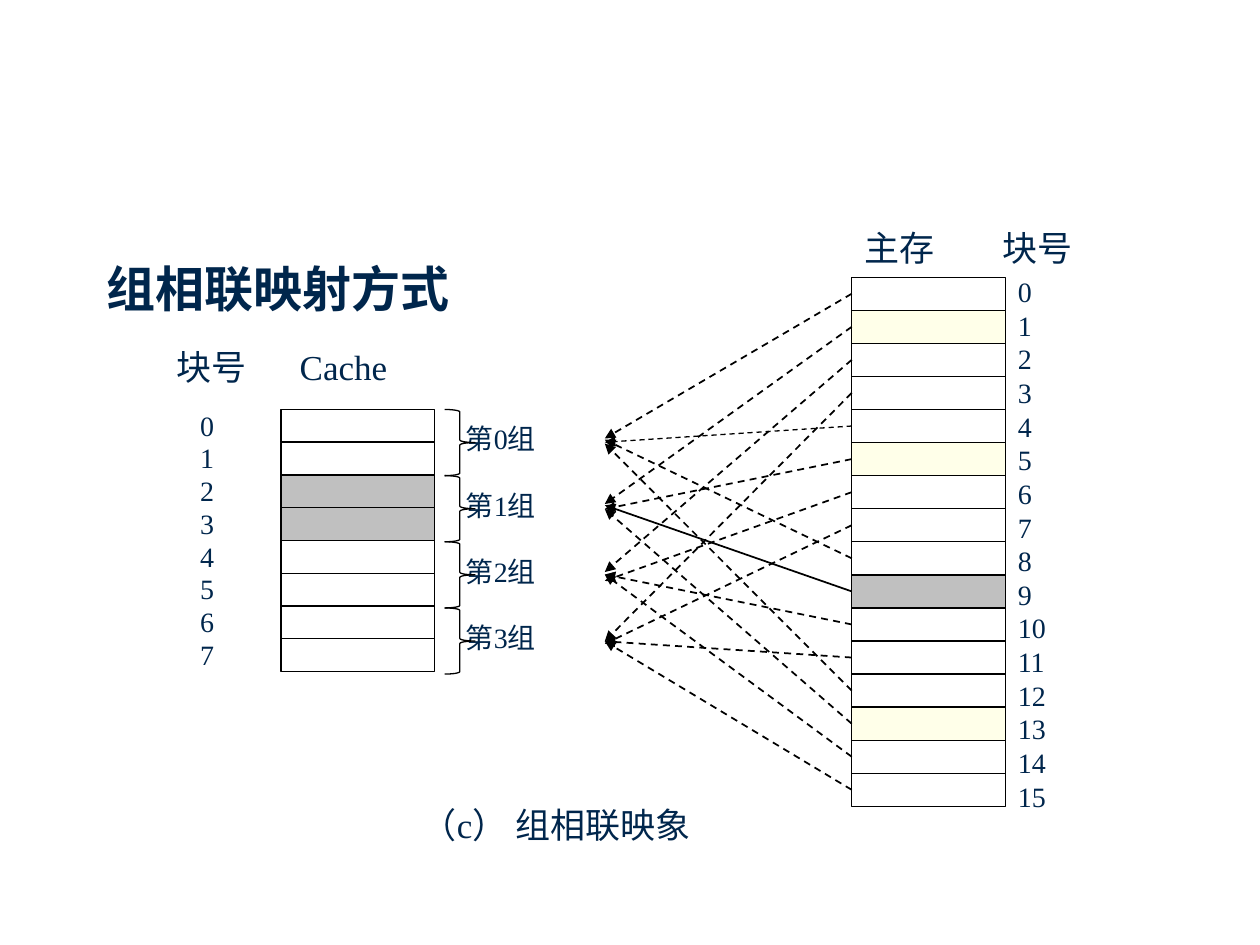
from lxml import etree
from pptx import Presentation
from pptx.dml.color import RGBColor
from pptx.enum import dml, shapes, text
from pptx.oxml.ns import qn
from pptx.util import Inches, Pt

FONT = "Times New Roman"
NAVY = RGBColor(0x00, 0x26, 0x4C)
BLACK = RGBColor(0x00, 0x00, 0x00)
GRAY = RGBColor(0xC0, 0xC0, 0xC0)
CREAM = RGBColor(0xFF, 0xFF, 0xE9)

CACHE_FILLS = {2: GRAY, 3: GRAY}
MEMORY_FILLS = {1: CREAM, 5: CREAM, 9: GRAY, 13: CREAM}
SOLID_BLOCK = 9
ARROW_TIPS = [3.48, 4, 4.54, 5.09, 3.51, 4.04, 4.61, 5.11,
              3.49, 4.01, 4.56, 5.09, 3.52, 4.04, 4.56, 5.09]


def add_label(slide, words, left, top, width, height, size=16, bold=False):
    """Add one line of navy text in a wrapping box."""
    box = slide.shapes.add_textbox(Inches(left), Inches(top), Inches(width), Inches(height))
    box.text_frame.word_wrap = True
    paragraph = box.text_frame.paragraphs[0]
    paragraph.text = words
    paragraph.alignment = text.PP_ALIGN.LEFT if bold else text.PP_ALIGN.JUSTIFY
    paragraph.font.name = FONT
    paragraph.font.size = Pt(size)
    paragraph.font.bold = bold
    paragraph.font.color.rgb = NAVY


def add_outline(slide, kind, left, top, width, height, fill=None):
    """Add a thin black preset shape, filled only if a colour is given."""
    shape = slide.shapes.add_shape(kind, Inches(left), Inches(top), Inches(width), Inches(height))
    shape.shadow.inherit = False
    if fill is None:
        shape.fill.background()
    else:
        shape.fill.solid()
        shape.fill.fore_color.rgb = fill
    shape.line.color.rgb = BLACK
    shape.line.width = Pt(0.75)
    return shape


def add_blocks(slide, left, top, width, height, count, fills, label_left, label_rise, label_step):
    """Stack numbered blocks in the given box and return them."""
    step = height / count
    blocks = []
    for number in range(count):
        blocks.append(add_outline(slide, shapes.MSO_SHAPE.RECTANGLE, left, top + number * step,
                                  width, step, fills.get(number)))
        add_label(slide, str(number), left + label_left,
                  top - label_rise + number * label_step, 0.73, 0.39)
    return blocks


def add_cache(slide, left, top, width, height):
    """Draw the cache blocks with their headings."""
    add_label(slide, "块号", left - 0.93, top - 0.56, 1.22, 0.39, 20)
    add_label(slide, "Cache", left + 0.05, top - 0.56, 1.22, 0.39, 20)
    add_blocks(slide, left, top, width, height, 8, CACHE_FILLS, -0.74, 0.06, 0.26)


def add_sets(slide, left, top, height):
    """Draw a brace and a name for each of the four sets."""
    step = height / 4
    for number in range(4):
        set_top = top + number * step
        add_label(slide, f"第{number}组", left + 0.07, set_top + 0.05, 1.47, 0.39)
        add_outline(slide, shapes.MSO_SHAPE.RIGHT_BRACE, left, set_top, 0.24, step)


def add_memory(slide, left, top, width, height):
    """Draw the main memory blocks with their headings and return the blocks."""
    add_label(slide, "主存", left, top - 0.45, 1.22, 0.39, 20)
    add_label(slide, "块号", left + 1.1, top - 0.45, 0.89, 0.42, 20)
    return add_blocks(slide, left, top, width, height, 16, MEMORY_FILLS, width, 0.07, 0.267)


def add_mapping(slide, blocks, tip_left):
    """Draw an arrow from each memory block to its cache set."""
    for number, (block, tip_top) in enumerate(zip(blocks, ARROW_TIPS)):
        arrow = slide.shapes.add_connector(
            shapes.MSO_CONNECTOR.STRAIGHT, block.left, block.top + block.height // 2,
            Inches(tip_left), Inches(tip_top))
        arrow.begin_connect(block, 1)
        arrow.line.color.rgb = BLACK
        arrow.line.width = Pt(0.75 if number == 4 else 1)
        if number != SOLID_BLOCK:
            arrow.line.dash_style = dml.MSO_LINE.DASH
        etree.SubElement(arrow.line._get_or_add_ln(), qn("a:tailEnd"), type="triangle")
        etree.SubElement(arrow._element.spPr, qn("a:effectLst"))


def main():
    """Build the set-associative mapping slide."""
    presentation = Presentation()
    presentation.slide_width = Inches(10)
    presentation.slide_height = Inches(7.5)
    slide = presentation.slides.add_slide(presentation.slide_layouts[6])
    add_label(slide, "组相联映射方式", 0.75, 2, 8.08, 4.67, 28, True)
    add_label(slide, "（c） 组相联映象", 3.25, 6.33, 2.83, 0.48, 20)
    add_cache(slide, 2.23, 3.25, 1.22, 2.08)
    add_sets(slide, 3.53, 3.25, 2.1)
    blocks = add_memory(slide, 6.76, 2.2, 1.22, 4.2)
    add_mapping(slide, blocks, 4.8)
    presentation.save("out.pptx")


if __name__ == "__main__":
    main()
